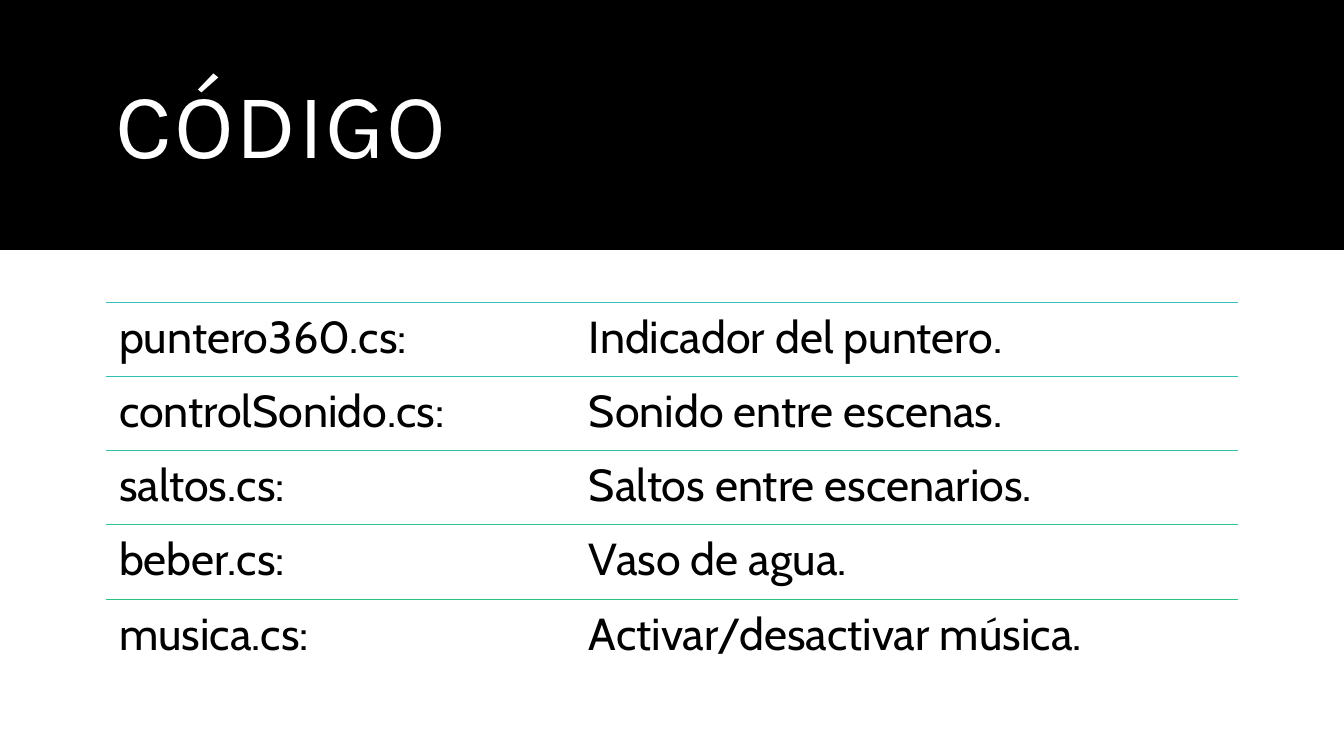
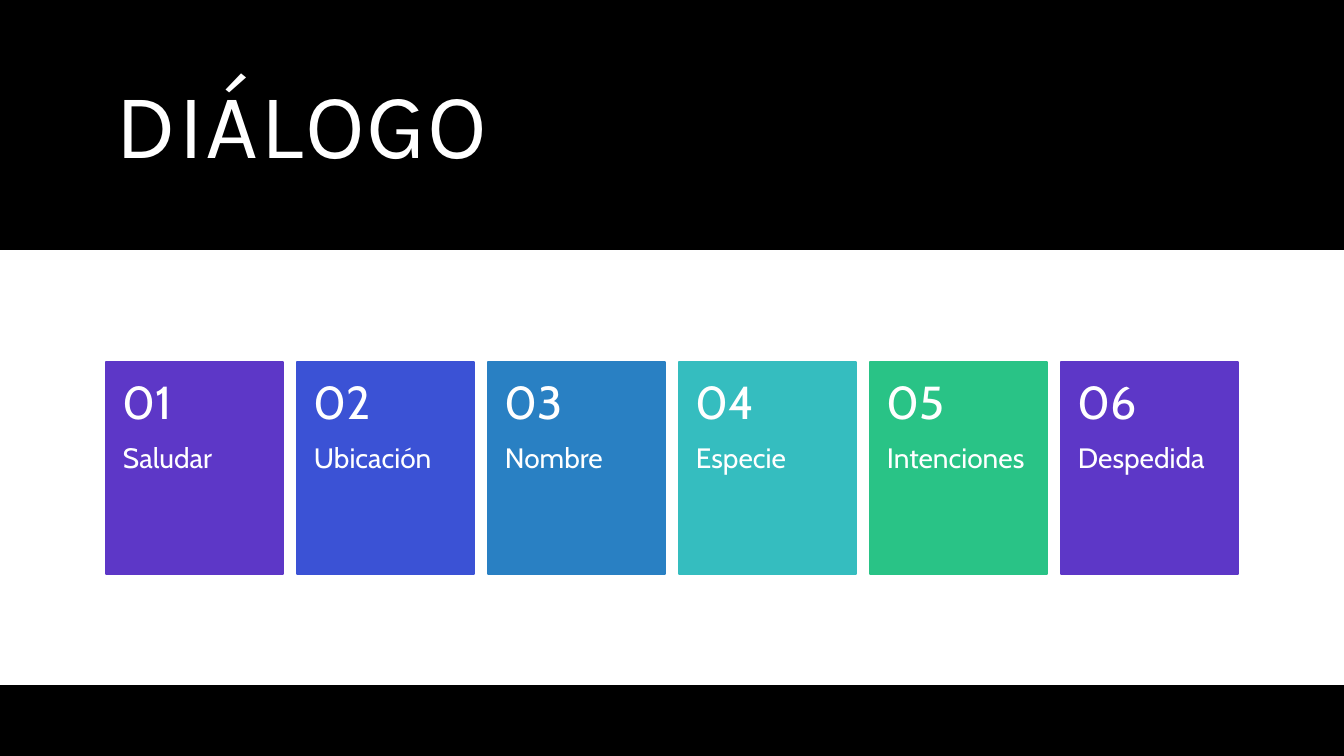
import pptx
import pptx.util
import pptx.dml.color
import pptx.enum.shapes
import pptx.enum.text
import pptx.oxml.ns
import lxml.etree

WIDE, HIGH = 1344, 756
LEFT, SPAN = 106, 1132
BAND = 250
HUES = {
    "black": "000000", "white": "FFFFFF",
    "violet": "5D37C7", "blue": "3B52D5", "azure": "2980C3",
    "teal": "35BDBF", "green": "29C386",
    "aqua": "32C0B4", "mint": "2FC1A5", "jade": "2CC296",
}


def px(size):
    return pptx.util.Emu(round(size * 12192000 / WIDE))


def hue(name):
    return pptx.dml.color.RGBColor.from_string(HUES[name])


def child(node, tag, **attrs):
    return lxml.etree.SubElement(node, pptx.oxml.ns.qn(tag), attrs)


class Deck:
    """Hold the shared style and the current slide."""

    def __init__(self):
        self.file = pptx.Presentation()
        self.file.slide_width = px(WIDE)
        self.file.slide_height = px(HIGH)
        self.slide = None

    def page(self, title, depth):
        self.slide = self.file.slides.add_slide(self.file.slide_layouts[6])
        self.rect(0, 0, WIDE, depth, "black")
        run = self.text(LEFT, 35, SPAN, 187, title, 66, "white",
                        (10, 5, 10, 5), font="Karla", middle=True)
        run.font._element.set("spc", "120")

    def rect(self, x, y, w, h, fill, edge=False):
        shape = self.slide.shapes.add_shape(
            pptx.enum.shapes.MSO_SHAPE.RECTANGLE, px(x), px(y), px(w), px(h))
        shape.shadow.inherit = False
        shape.fill.solid()
        shape.fill.fore_color.rgb = hue(fill)
        if edge:
            shape.line.color.rgb = hue(fill)
            shape.line.width = pptx.util.Pt(1)
        else:
            shape.line.fill.background()

    def text(self, x, y, w, h, words, size, color, inset,
             font="Cabin", middle=False, tab=None):
        box = self.slide.shapes.add_textbox(px(x), px(y), px(w), px(h))
        frame = box.text_frame
        frame.word_wrap = True
        (frame.margin_left, frame.margin_top,
         frame.margin_right, frame.margin_bottom) = map(px, inset)
        anchor = pptx.enum.text.MSO_ANCHOR
        frame.vertical_anchor = anchor.MIDDLE if middle else anchor.TOP
        para = frame.paragraphs[0]
        para.line_spacing = 0.9
        if tab:
            stops = child(para._p.get_or_add_pPr(), "a:tabLst")
            child(stops, "a:tab", pos=str(px(tab)), algn="l")
        run = para.add_run()
        run.text = words
        run.font.name = font
        run.font.size = pptx.util.Pt(size)
        run.font.color.rgb = hue(color)
        return run

    def rule(self, y, color):
        line = self.slide.shapes.add_connector(
            pptx.enum.shapes.MSO_CONNECTOR.STRAIGHT,
            px(LEFT), px(y), px(LEFT + SPAN), px(y))
        line.line.color.rgb = hue(color)
        line.line.width = pptx.util.Pt(0.5)
        child(line._element.spPr, "a:effectLst")

    def row(self, y, name, note, color):
        self.rule(y, color)
        self.text(LEFT, y, SPAN, 74, f"{name}\t{note}", 32, "black",
                  (13, 13, 13, 13), tab=470)

    def card(self, x, num, label, color):
        top, wide, high, head = 362, 177, 212, 85
        self.rect(x, top, wide, high, color, edge=True)
        self.text(x, top + head, wide, high - head, label, 20, "white",
                  (17, 0, 17, 36))
        self.text(x, top, wide, head, f"{num:02}", 33, "white",
                  (17, 18, 17, 18), middle=True)


def main():
    deck = Deck()

    deck.page("CÓDIGO", BAND)
    rows = [
        ("puntero360.cs:", "Indicador del puntero.", "teal"),
        ("controlSonido.cs:", "Sonido entre escenas.", "aqua"),
        ("saltos.cs:", "Saltos entre escenarios.", "mint"),
        ("beber.cs:", "Vaso de agua.", "jade"),
        ("musica.cs:", "Activar/desactivar música.", "green"),
    ]
    for i, (name, note, color) in enumerate(rows):
        deck.row(302 + i * 297 // 4, name, note, color)

    deck.page("DIÁLOGO", HIGH)
    deck.rect(0, BAND, WIDE, 435, "white")
    cards = [
        ("Saludar", "violet"), ("Ubicación", "blue"), ("Nombre", "azure"),
        ("Especie", "teal"), ("Intenciones", "green"), ("Despedida", "violet"),
    ]
    for i, (label, color) in enumerate(cards):
        deck.card(LEFT + i * 191, i + 1, label, color)

    deck.file.save("out.pptx")


if __name__ == "__main__":
    main()
